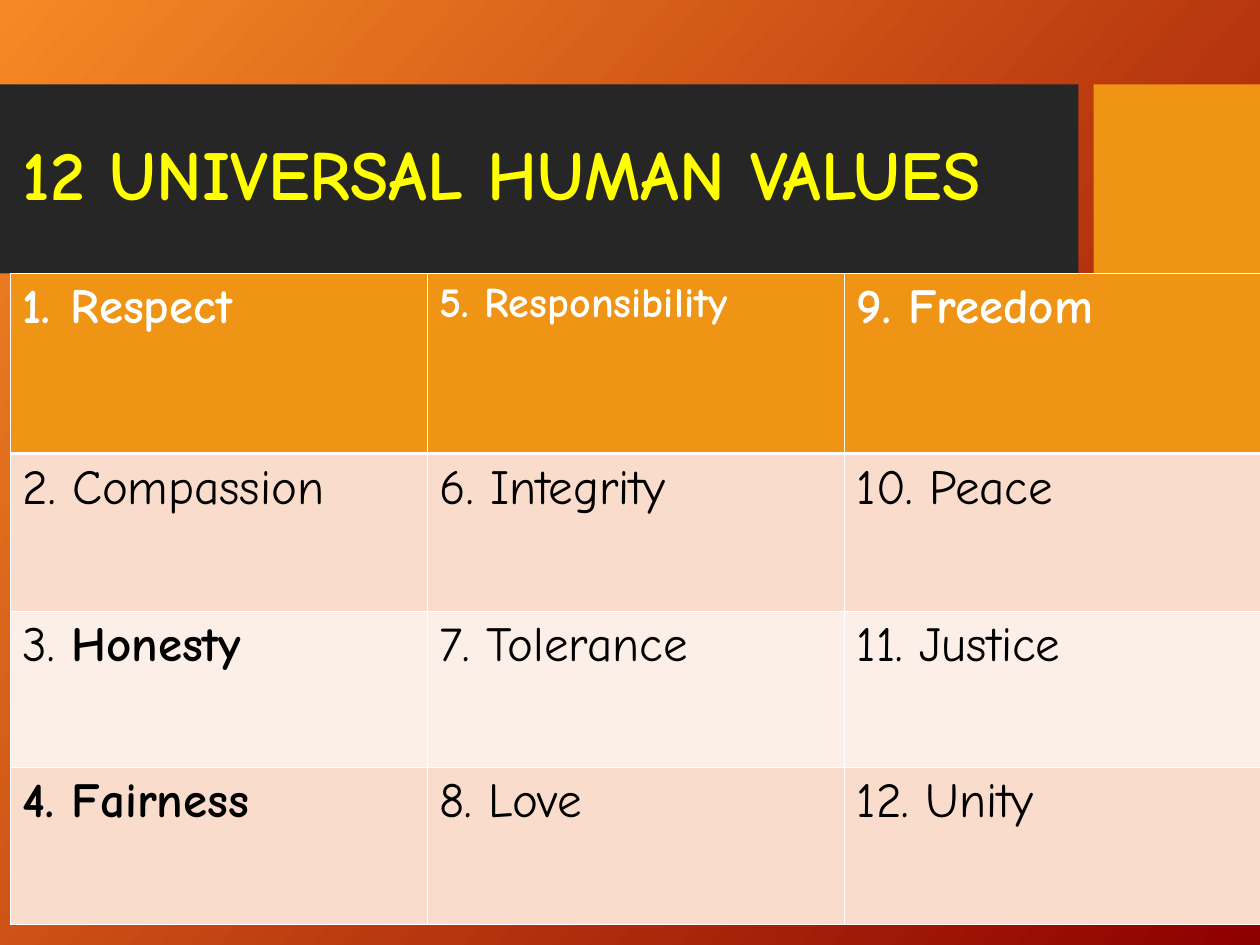
from lxml import etree
from pptx import Presentation
from pptx.dml.color import RGBColor
from pptx.enum import shapes, text
from pptx.oxml import ns
from pptx.util import Inches, Pt

FONT = "Comic Neue"
WHITE, ORANGE, BLACK = "FFFFFF", "F09415", "000000"


def color(hex_string):
    return RGBColor.from_string(hex_string)


def add_run(paragraph, words, size, ink, bold):
    run = paragraph.add_run()
    run.text = words
    run.font.name = FONT
    run.font.size = Pt(size)
    run.font.bold = bold
    run.font.color.rgb = color(ink)


prs = Presentation()
prs.slide_width, prs.slide_height = Inches(10), Inches(7.5)
slide = prs.slides.add_slide(prs.slide_layouts[5])

# Background gradient, running from top left to bottom right
backdrop = slide.background.fill
backdrop.gradient()
backdrop.gradient_angle = 360 - 42
for stop, (position, shade) in zip(backdrop.gradient_stops, [(0, "F78925"), (1, "8D0000")]):
    stop.position = position
    stop.color.rgb = color(shade)

# Title band and accent block, placed behind the title
title = slide.shapes.title
for left, width, shade in [(0, 8.56, "262626"), (8.68, 1.32, ORANGE)]:
    band = slide.shapes.add_shape(shapes.MSO_SHAPE.RECTANGLE, Inches(left), Inches(0.67),
                                  Inches(width), Inches(1.5))
    band.shadow.inherit = False
    band.fill.solid()
    band.fill.fore_color.rgb = color(shade)
    band.line.fill.background()
    title._element.addprevious(band._element)

title.left, title.top = Inches(0.08), Inches(0.82)
title.width, title.height = Inches(8.36), Inches(1.18)
title.text_frame.word_wrap = True
title.text_frame.auto_size = text.MSO_AUTO_SIZE.NONE
title.text_frame.vertical_anchor = text.MSO_ANCHOR.MIDDLE
heading = title.text_frame.paragraphs[0]
heading.alignment = text.PP_ALIGN.LEFT
heading.line_spacing = 0.9
add_run(heading, "12 UNIVERSAL HUMAN VALUES", 40, "FFFF00", True)

# Values, numbered down the columns
columns = [
    ["Respect", "Compassion", "Honesty", "Fairness"],
    ["Responsibility", "Integrity", "Tolerance", "Love"],
    ["Freedom", "Peace", "Justice", "Unity"],
]
row_heights = [1.43, 1.25, 1.24, 1.25]
row_fills = [ORANGE, "F9DCCC", "FCEFE7", "F9DCCC"]
bold_values = ["Honesty", "Fairness"]

table = slide.shapes.add_table(4, 3, Inches(0.08), Inches(2.17),
                               Inches(9.93), Inches(sum(row_heights))).table
for row, height in zip(table.rows, row_heights):
    row.height = Inches(height)

for c, values in enumerate(columns):
    table.columns[c].width = Inches(3.31)
    for r, value in enumerate(values):
        cell = table.cell(r, c)
        properties = cell._tc.get_or_add_tcPr()
        for side in "LRTB":
            thick = (r, side) in [(0, "B"), (1, "T")]
            border = etree.SubElement(properties, ns.qn(f"a:ln{side}"),
                                      w=str(Pt(1.47 if thick else 0.45)))
            paint = etree.SubElement(border, ns.qn("a:solidFill"))
            etree.SubElement(paint, ns.qn("a:srgbClr"), val=WHITE)
        cell.fill.solid()
        cell.fill.fore_color.rgb = color(row_fills[r])

        number = f"{c * len(values) + r + 1}. "
        ink = WHITE if r == 0 else BLACK
        size = 24 if value == "Responsibility" else 28
        bold = r == 0 or value in bold_values
        paragraph = cell.text_frame.paragraphs[0]
        if value == "Respect":
            layout = paragraph._p.get_or_add_pPr()
            layout.set("marL", str(Inches(0.38)))
            layout.set("indent", str(Inches(-0.38)))
            bullet_color = etree.SubElement(layout, ns.qn("a:buClr"))
            etree.SubElement(bullet_color, ns.qn("a:srgbClr"), val=WHITE)
            etree.SubElement(layout, ns.qn("a:buFont"), typeface=FONT)
            etree.SubElement(layout, ns.qn("a:buAutoNum"), type="arabicPeriod")
            add_run(paragraph, value, size, ink, bold)
        elif value == "Honesty":
            add_run(paragraph, number, size, ink, False)
            add_run(paragraph, value, size, ink, bold)
        else:
            add_run(paragraph, number + value, size, ink, bold)

prs.save("out.pptx")
